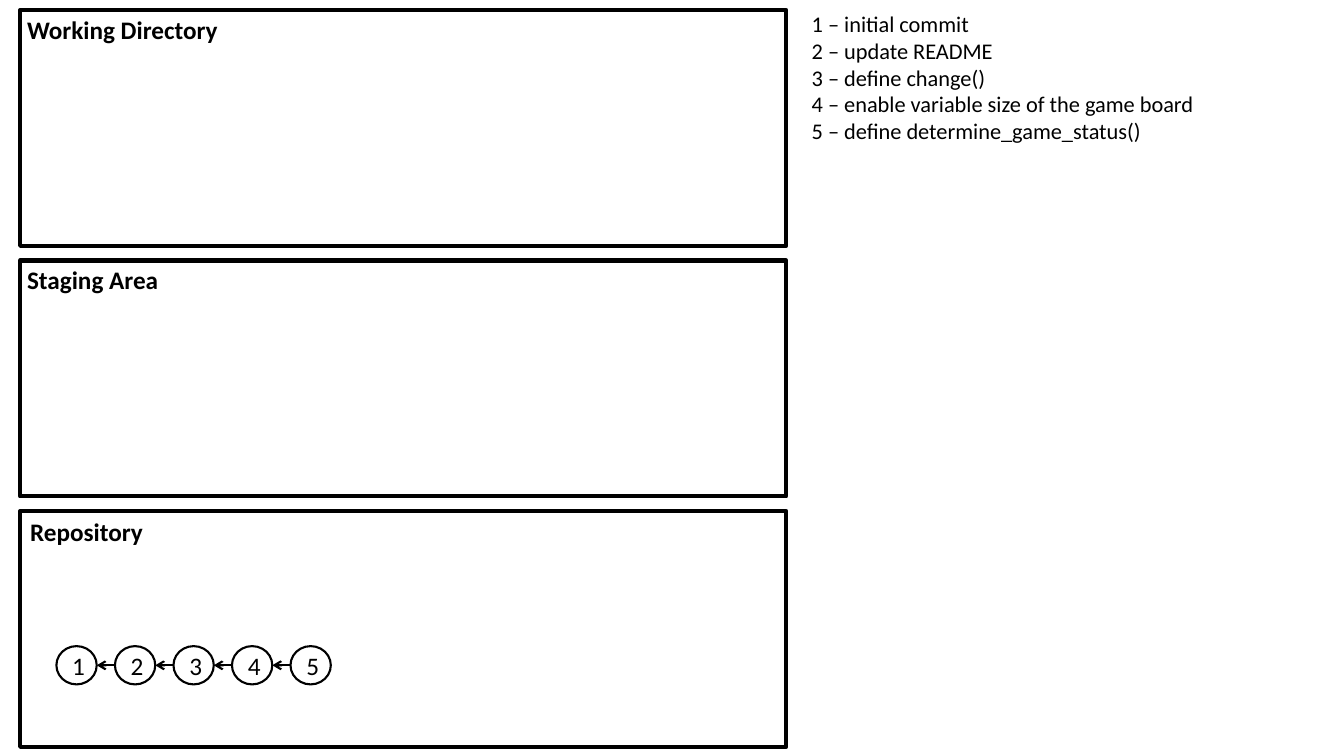
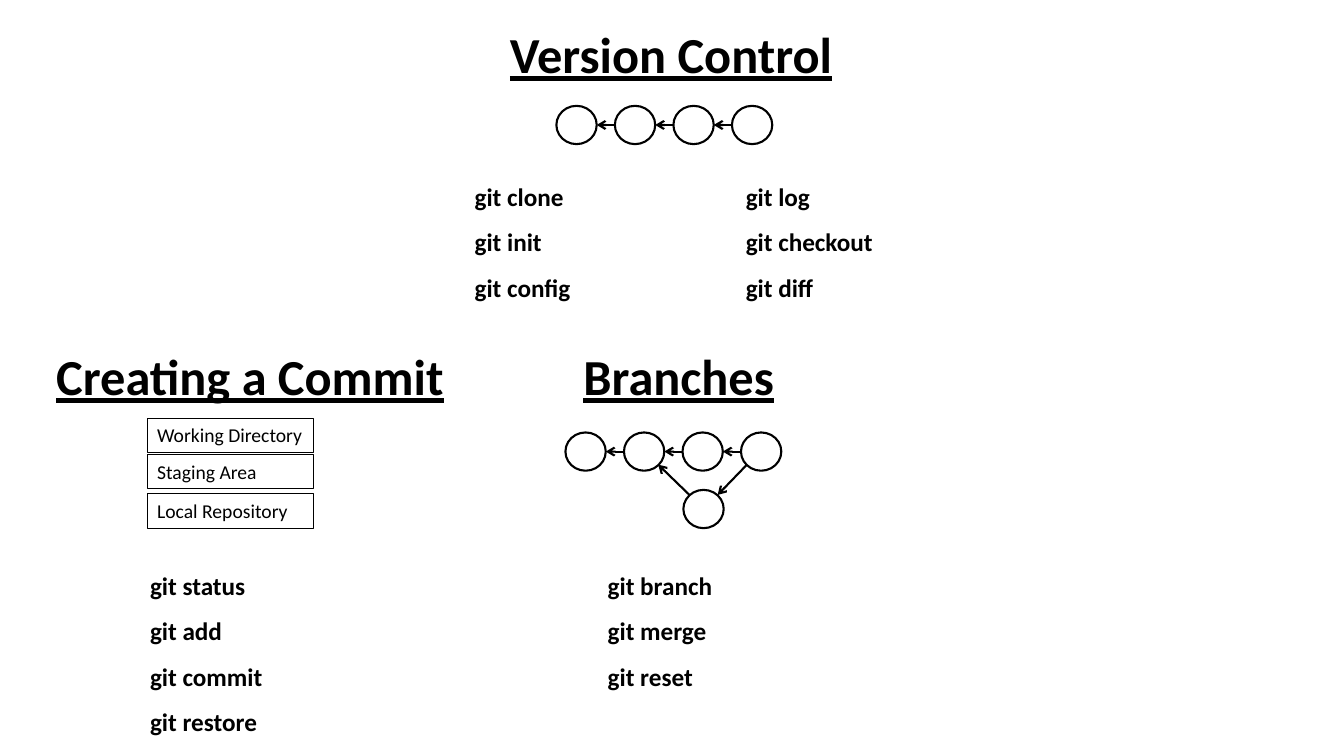
"""Two slides on the areas, commits and commands of version control."""
from lxml import etree
from pptx import Presentation
from pptx.dml.color import RGBColor
from pptx.enum.shapes import MSO_CONNECTOR, MSO_SHAPE
from pptx.enum.text import MSO_ANCHOR, MSO_AUTO_SIZE, PP_ALIGN
from pptx.oxml.ns import qn
from pptx.util import Pt

BLACK = RGBColor(0x00, 0x00, 0x00)
WHITE = RGBColor(0xFF, 0xFF, 0xFF)
FONT = "Calibri"
NODE_W, NODE_H, NODE_PITCH = 28.8, 27.36, 41.8
AREA_TOP, AREA_PITCH = 7.2, 178.92


def write(tf, lines, size, bold=False, underline=None, spacing=None, align=None):
    """Fill a text frame with one paragraph per line in the shared font."""
    tf.word_wrap = True
    tf.text = "\n".join(lines)
    for p in tf.paragraphs:
        p.line_spacing = spacing
        p.alignment = align
        for r in p.runs:
            r.font.name = FONT
            r.font.size = Pt(size)
            r.font.bold = bold
            r.font.underline = underline
            r.font.color.rgb = BLACK


def add_text(s, left, top, width, height, lines, size, **style):
    """Add a text box that grows with its text."""
    tb = s.shapes.add_textbox(Pt(left), Pt(top), Pt(width), Pt(height))
    tf = tb.text_frame
    write(tf, lines, size, **style)
    tf.auto_size = MSO_AUTO_SIZE.SHAPE_TO_FIT_TEXT
    return tf


def add_title(s, left, top, width, text):
    """Add an underlined section title."""
    add_text(s, left, top, width, 51.12, [text], 36, bold=True, underline=True)


def add_commands(s, left, top, width, lines):
    """Add a widely spaced list of commands."""
    add_text(s, left, top, width, 32.4 * len(lines) + 5, lines, 18,
             bold=True, spacing=1.5)


def add_outline(s, kind, left, top, width, height, weight):
    """Add an unfilled preset shape with a black outline."""
    sp = s.shapes.add_shape(kind, Pt(left), Pt(top), Pt(width), Pt(height))
    sp.shadow.inherit = False
    sp.fill.background()
    sp.line.color.rgb = BLACK
    sp.line.width = Pt(weight)
    return sp


def add_box(s, left, top, text):
    """Add a small labelled rectangle."""
    sp = add_outline(s, MSO_SHAPE.RECTANGLE, left, top, 118.8, 24.48, 0.75)
    write(sp.text_frame, [text], 14, align=PP_ALIGN.LEFT)
    sp.text_frame.vertical_anchor = MSO_ANCHOR.TOP


def add_node(s, left, top, label=""):
    """Add a commit circle with an optional number."""
    sp = add_outline(s, MSO_SHAPE.FLOWCHART_CONNECTOR, left, top, NODE_W, NODE_H, 1.5)
    sp.fill.solid()
    sp.fill.fore_color.rgb = WHITE
    if label:
        write(sp.text_frame, [label], 18, align=PP_ALIGN.CENTER)
        sp.text_frame.vertical_anchor = MSO_ANCHOR.MIDDLE


def add_arrow(s, x1, y1, x2, y2):
    """Add a straight arrow that points at its end."""
    cxn = s.shapes.add_connector(MSO_CONNECTOR.STRAIGHT, Pt(x1), Pt(y1), Pt(x2), Pt(y2))
    cxn.line.color.rgb = BLACK
    cxn.line.width = Pt(1.5)
    etree.SubElement(cxn.line._get_or_add_ln(), qn("a:tailEnd"), type="arrow")
    etree.SubElement(cxn._element.spPr, qn("a:effectLst"))


def add_chain(s, left, top, labels):
    """Add a row of commits, each pointing at its parent."""
    for i, label in enumerate(labels):
        x = left + i * NODE_PITCH
        add_node(s, x, top, label)
        if i:
            y = top + NODE_H / 2
            add_arrow(s, x, y, x - NODE_PITCH + NODE_W, y)


def build_areas(s):
    """Build the slide with the three areas and the commit history."""
    areas = [("Working Directory", 12.24, 6.48, 152.64),
             ("Staging Area", 12.24, 185.04, 109.44),
             ("Repository", 14.4, 365.04, 95.04)]
    for i, (name, left, top, width) in enumerate(areas):
        add_text(s, left, top, width, 28.8, [name], 18, bold=True)
        add_outline(s, MSO_SHAPE.RECTANGLE, 14.4, AREA_TOP + i * AREA_PITCH,
                    547.2, 168.48, 3)
    commits = ["initial commit", "update README", "define change()",
               "enable variable size of the game board",
               "define determine_game_status()"]
    lines = [f"{n} – {text}" for n, text in enumerate(commits, 1)]
    tf = add_text(s, 564.48, 3.6, 306.72, 104.4, lines, 16)
    tf.margin_left = Pt(15.3)
    add_chain(s, 40.32, 461.52, "12345")


def build_overview(s):
    """Build the slide with the commands for each topic."""
    add_title(s, 357.12, 12.96, 246.24, "Version Control")
    add_title(s, 33.12, 242.64, 292.32, "Creating a Commit")
    add_title(s, 409.68, 242.64, 154.08, "Branches")

    add_chain(s, 397.44, 75.6, [""] * 4)
    add_commands(s, 331.92, 115.2, 147.6, ["git clone", "git init", "git config"])
    add_commands(s, 525.6, 115.2, 221.76, ["git log", "git checkout", "git diff"])

    for top, name in [(298.8, "Working Directory"), (324.72, "Staging Area"),
                      (352.8, "Local Repository")]:
        add_box(s, 105.12, top, name)
    add_commands(s, 100.08, 393.12, 161.28,
                 ["git status", "git add", "git commit", "git restore"])

    add_chain(s, 403.92, 308.88, [""] * 4)
    add_node(s, 488.16, 349.92)
    add_arrow(s, 492.48, 353.52, 470.16, 331.92)
    add_arrow(s, 533.52, 331.92, 512.64, 353.52)
    add_commands(s, 426.96, 393.12, 130.32, ["git branch", "git merge", "git reset"])


def main():
    """Build and save the presentation."""
    prs = Presentation()
    prs.slide_width, prs.slide_height = Pt(960), Pt(540)
    for build in (build_areas, build_overview):
        build(prs.slides.add_slide(prs.slide_layouts[6]))
    prs.save("out.pptx")


main()
